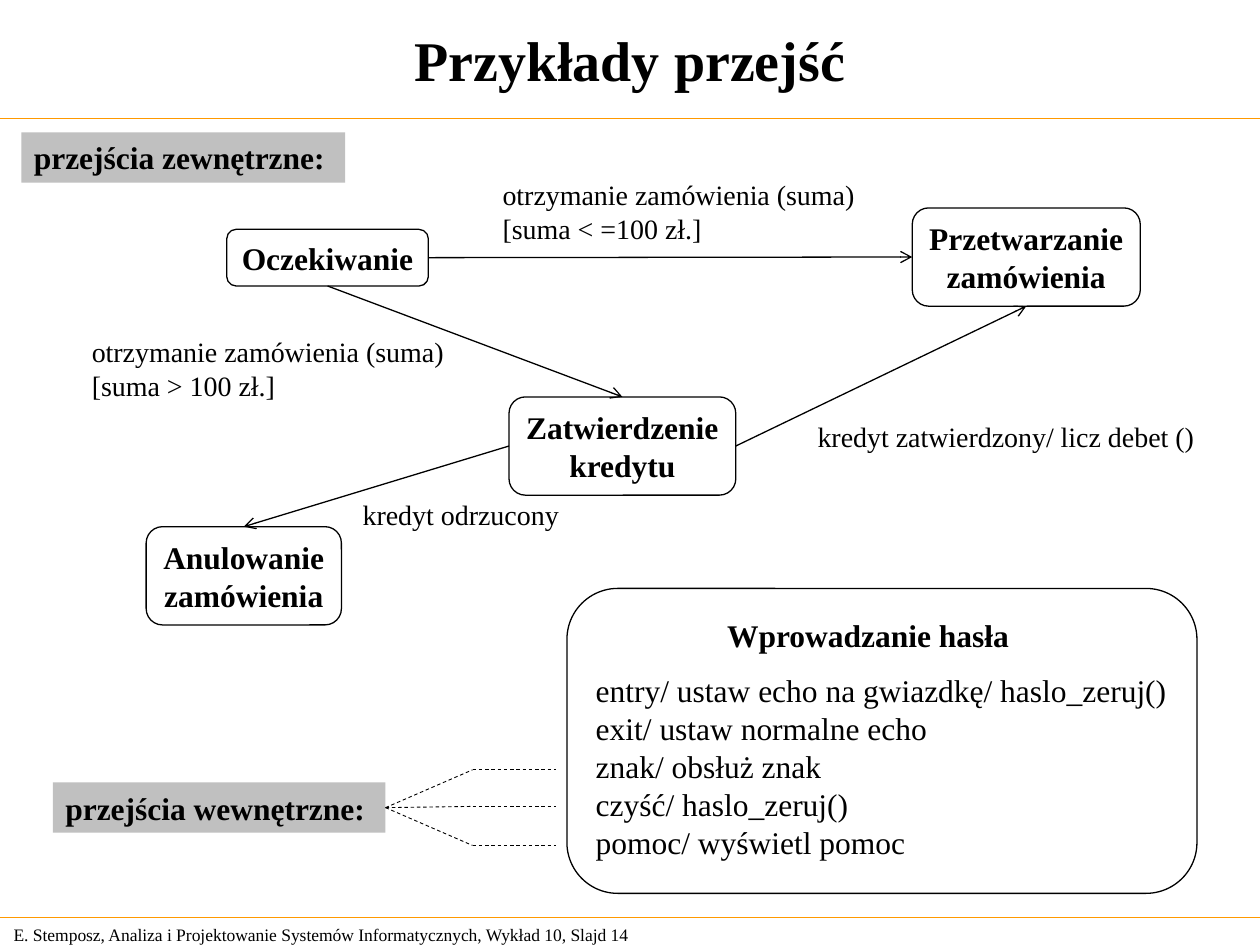
from lxml import etree
from pptx import Presentation
from pptx import util as u
from pptx.dml.color import RGBColor
from pptx.enum import dml, shapes, text
from pptx.oxml import ns

Inches = u.Inches
THEME = {
    "font": "Times New Roman",
    "ink": RGBColor.from_string("000000"),
    "rule": RGBColor.from_string("FF9900"),
    "label": RGBColor.from_string("C0C0C0"),
    "title": u.Pt(32), "strong": u.Pt(18), "event": u.Pt(16), "footer": u.Pt(10),
    "line": u.Pt(0.75), "thin": u.Pt(0.5),
}
LEFT, CENTER = text.PP_ALIGN.LEFT, text.PP_ALIGN.CENTER
TOP, MIDDLE = text.MSO_ANCHOR.TOP, text.MSO_ANCHOR.MIDDLE
TOP_SITE, LEFT_SITE, BOTTOM_SITE, RIGHT_SITE = range(4)


def write(sp, lines, size, bold=False, align=LEFT, anchor=TOP, wrap=False):
    tf = sp.text_frame
    frame = {"word_wrap": wrap, "auto_size": text.MSO_AUTO_SIZE.NONE, "vertical_anchor": anchor,
             "margin_left": Inches(0.1), "margin_right": Inches(0.1),
             "margin_top": Inches(0.05), "margin_bottom": Inches(0.05)}
    for name, value in frame.items():
        setattr(tf, name, value)
    for i, line in enumerate(lines):
        p = tf.paragraphs[0] if i == 0 else tf.add_paragraph()
        p.alignment = align
        r = p.add_run()
        r.text = line
        for name, value in {"name": THEME["font"], "size": THEME[size], "bold": bold}.items():
            setattr(r.font, name, value)
        r.font.color.rgb = THEME["ink"]


def connect(start, end, color="ink", width="line", dash=None, arrow=False):
    c = s.shapes.add_connector(shapes.MSO_CONNECTOR.STRAIGHT, *map(Inches, start + end))
    c.line.color.rgb = THEME[color]
    c.line.width = THEME[width]
    if dash:
        c.line.dash_style = dash
    if arrow:
        etree.SubElement(c.line._get_or_add_ln(), ns.qn("a:tailEnd"), type="arrow")
    etree.SubElement(c._element.spPr, ns.qn("a:effectLst"))
    return c


prs = Presentation()
prs.slide_width, prs.slide_height = Inches(10), Inches(7.5)
s = prs.slides.add_slide(prs.slide_layouts[5])

title = s.shapes.title
title.left, title.top, title.width, title.height = map(Inches, (0.04, 0.04, 9.92, 0.85))
write(title, ["Przykłady przejść"], "title", True, CENTER, MIDDLE, True)

for y in (0.94, 7.28):
    connect((0, y), (10, y), "rule")

labels = [
    ("przejścia zewnętrzne:", (0.17, 1.05, 2.57, 0.4)),
    ("przejścia wewnętrzne:", (0.42, 6.21, 2.64, 0.4)),
]
for label, box in labels:
    sp = s.shapes.add_shape(shapes.MSO_SHAPE.RECTANGLE, *map(Inches, box))
    sp.shadow.inherit = False
    sp.fill.solid()
    sp.fill.fore_color.rgb = THEME["label"]
    sp.line.fill.background()
    write(sp, [label], "strong", True, wrap=True)

states = {
    "waiting": (["Oczekiwanie"], (1.8, 1.82, 1.6, 0.45)),
    "processing": (["Przetwarzanie", "zamówienia"], (7.24, 1.65, 1.81, 0.78)),
    "approval": (["Zatwierdzenie", "kredytu"], (4.04, 3.15, 1.8, 0.78)),
    "cancelled": (["Anulowanie", "zamówienia"], (1.16, 4.18, 1.55, 0.78)),
    "password": ([], (4.5, 4.67, 5, 2.42)),
}
nodes = {}
for key, (lines, box) in states.items():
    sp = s.shapes.add_shape(shapes.MSO_SHAPE.ROUNDED_RECTANGLE, *map(Inches, box))
    sp.shadow.inherit = False
    sp.fill.background()
    sp.line.color.rgb = THEME["ink"]
    sp.line.width = THEME["line"]
    write(sp, lines, "strong", True, CENTER, MIDDLE)
    nodes[key] = sp

transitions = [
    ("waiting", RIGHT_SITE, "processing", LEFT_SITE),
    ("waiting", BOTTOM_SITE, "approval", TOP_SITE),
    ("approval", RIGHT_SITE, "processing", BOTTOM_SITE),
    ("approval", LEFT_SITE, "cancelled", TOP_SITE),
]
for source, out_site, target, in_site in transitions:
    c = connect((0, 0), (1, 1), arrow=True)
    c.begin_connect(nodes[source], out_site)
    c.end_connect(nodes[target], in_site)

actions = [
    "entry/ ustaw echo na gwiazdkę/ haslo_zeruj()",
    "exit/ ustaw normalne echo",
    "znak/ obsłuż znak",
    "czyść/ haslo_zeruj()",
    "pomoc/ wyświetl pomoc",
]
texts = [
    (["otrzymanie zamówienia (suma)", "[suma < =100 zł.]"], (3.89, 1.36, 2.99, 0.64), {"size": "event"}),
    (["otrzymanie zamówienia (suma)", "[suma > 100 zł.]"], (0.63, 2.61, 2.99, 0.64), {"size": "event"}),
    (["kredyt zatwierdzony/ licz debet ()"], (6.39, 3.28, 3.19, 0.37), {"size": "event"}),
    (["kredyt odrzucony"], (2.78, 3.9, 1.76, 0.37), {"size": "event"}),
    (["Wprowadzanie hasła"], (5.67, 4.84, 2.44, 0.4), {"size": "strong", "bold": True, "align": CENTER}),
    (actions, (4.63, 5.28, 4.73, 1.6), {"size": "strong"}),
    (["E. Stemposz, Analiza i Projektowanie Systemów Informatycznych, Wykład 10, Slajd 14"],
     (0.01, 7.28, 5.24, 0.27), {"size": "footer", "anchor": MIDDLE}),
]
for lines, box, style in texts:
    write(s.shapes.add_textbox(*map(Inches, box)), lines, **style)

for y in (6.11, 6.4, 6.71):
    for start, end in [((3.06, 6.41), (3.75, y)), ((3.75, y), (4.41, y))]:
        connect(start, end, width="thin", dash=dml.MSO_LINE.DASH)

prs.save("out.pptx")
